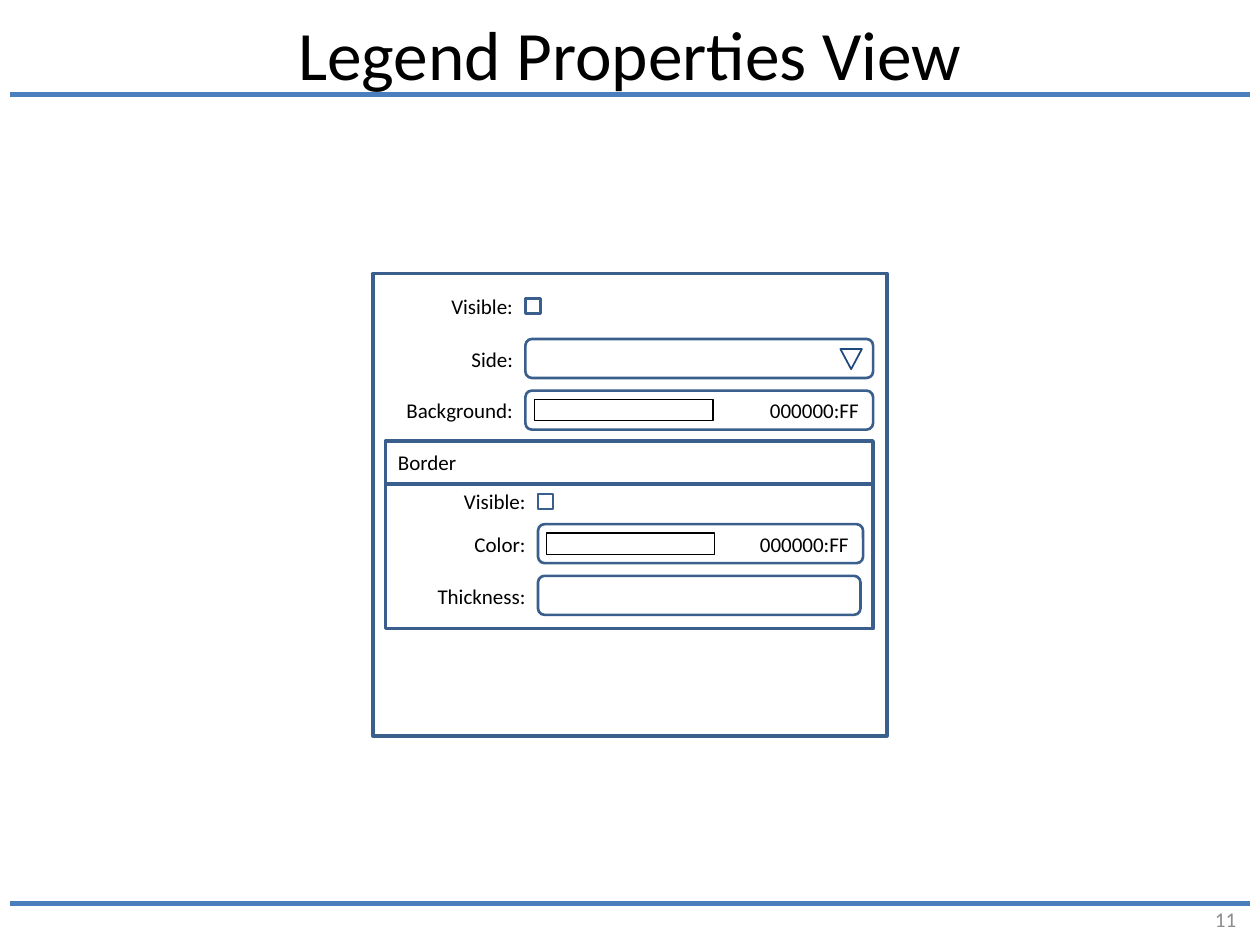
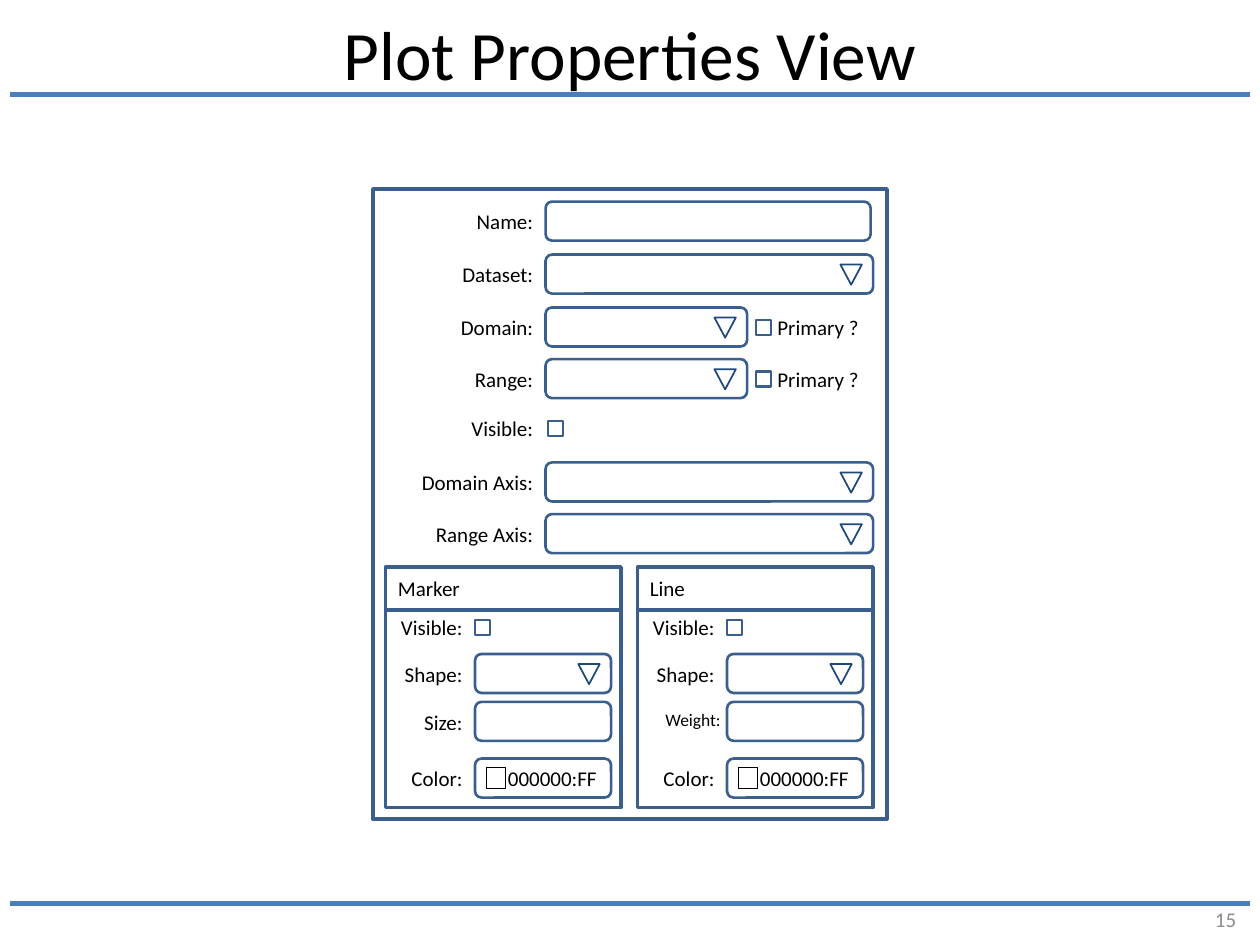
from collections import namedtuple

from lxml import etree
from pptx import Presentation
from pptx.dml.color import RGBColor
from pptx.enum.shapes import MSO_CONNECTOR, MSO_SHAPE
from pptx.enum.text import MSO_ANCHOR, MSO_AUTO_SIZE, PP_ALIGN
from pptx.oxml.ns import qn
from pptx.util import Inches, Pt

RECTANGLE = MSO_SHAPE.RECTANGLE
ROUNDED = MSO_SHAPE.ROUNDED_RECTANGLE
TRIANGLE = MSO_SHAPE.ISOSCELES_TRIANGLE
STRAIGHT = MSO_CONNECTOR.STRAIGHT
LEFT, CENTER, RIGHT = PP_ALIGN.LEFT, PP_ALIGN.CENTER, PP_ALIGN.RIGHT
TOP, MIDDLE = MSO_ANCHOR.TOP, MSO_ANCHOR.MIDDLE
NO_AUTOFIT = MSO_AUTO_SIZE.NONE

COLORS = {
    "rule": "4B7EBC",
    "outline": "3A5F8C",
    "arrow": "1F497D",
    "paper": "FFFFFF",
    "ink": "000000",
    "number": "8C8C8C",
}
FONT = "Calibri"
FIELD_HEIGHT = 0.31
HEADER_HEIGHT = 0.34
MARGIN = 0.1
GROUP_MARGIN = 0.08

Box = namedtuple("Box", "left top width height")


def color(name):
    return RGBColor.from_string(COLORS[name])


def inches(box):
    return [Inches(round(value, 2)) for value in box]


def write_text(shape, text, size=12, align=LEFT, anchor=MIDDLE, fill="ink", inset=0.1):
    frame = shape.text_frame
    frame.auto_size = NO_AUTOFIT
    frame.word_wrap = True
    frame.vertical_anchor = anchor
    frame.margin_left = frame.margin_right = Inches(inset)
    frame.margin_top = frame.margin_bottom = Inches(0.05)
    paragraph = frame.paragraphs[0]
    paragraph.alignment = align
    run = paragraph.add_run()
    run.text = text
    run.font.name = FONT
    run.font.size = Pt(size)
    run.font.color.rgb = color(fill)


def add_text(shapes, box, text, **text_format):
    write_text(shapes.add_textbox(*inches(box)), text, **text_format)


def add_outline(shapes, kind, box, line="outline", weight=1.5):
    shape = shapes.add_shape(kind, *inches(box))
    shape.shadow.inherit = False
    shape.fill.solid()
    shape.fill.fore_color.rgb = color("paper")
    shape.line.color.rgb = color(line)
    shape.line.width = Pt(weight)
    return shape


def add_rule(slide, top):
    ends = [Inches(value) for value in (0.08, top, 9.92, top)]
    rule = slide.shapes.add_connector(STRAIGHT, *ends)
    rule.line.color.rgb = color("rule")
    rule.line.width = Pt(3)
    etree.SubElement(rule._element.spPr, qn("a:effectLst"))


def add_checkbox(shapes, left, top):
    add_outline(shapes, RECTANGLE, Box(left, top, 0.12, 0.12))


def add_dropdown(shapes, box):
    add_outline(shapes, ROUNDED, box)
    arrow_box = Box(box.left + box.width - 0.26, box.top + 0.08, 0.17, 0.16)
    add_outline(shapes, TRIANGLE, arrow_box, "arrow", 1).rotation = 180


def add_color_field(shapes, box, swatch_width):
    field = add_outline(shapes, ROUNDED, box)
    write_text(field, "000000:FF", align=RIGHT)
    gap = 0.07 if swatch_width > 1 else 0.09
    swatch_box = Box(box.left + gap, box.top + 0.07, swatch_width, 0.17)
    add_outline(shapes, RECTANGLE, swatch_box, "ink", 0.75)


def add_row(shapes, box, label_width, label, control,
            trim=0, shift=0, swatch=0, note=None, size=12, inset=0.1):
    label_box = Box(box.left, box.top + 0.01, label_width, 0.3)
    add_text(shapes, label_box, label, size=size, inset=inset, align=RIGHT, anchor=TOP)
    right = box.left + box.width
    field_left = box.left + label_width
    field = Box(field_left, box.top, box.width - label_width - trim, box.height)
    if control == "check":
        add_checkbox(shapes, field_left + shift, box.top + 0.1)
    elif control == "list":
        add_dropdown(shapes, field)
    elif control == "color":
        add_color_field(shapes, field, swatch)
    else:
        add_outline(shapes, ROUNDED, field)
    if note:
        add_checkbox(shapes, right - 0.93, box.top + 0.1)
        note_box = Box(right - 0.81, box.top + 0.01, 0.81, 0.3)
        add_text(shapes, note_box, note, inset=0.05, anchor=TOP)


def add_rows(shapes, box, label_width, rows):
    for offset, label, control, options in rows:
        row_box = Box(box.left, box.top + offset, box.width, FIELD_HEIGHT)
        add_row(shapes, row_box, label_width, label, control, **options)


def add_group(shapes, box, title, label_width, rows):
    body = Box(box.left, box.top + HEADER_HEIGHT, box.width, box.height - HEADER_HEIGHT)
    add_outline(shapes, RECTANGLE, body, weight=2)
    header = add_outline(shapes, RECTANGLE, box._replace(height=HEADER_HEIGHT), weight=2)
    write_text(header, title)
    add_rows(shapes, box._replace(width=box.width - GROUP_MARGIN), label_width, rows)


def add_panel(slide, box, label_width, rows):
    shapes = slide.shapes.add_group_shape().shapes
    add_outline(shapes, RECTANGLE, box, weight=2)
    inner = Box(box.left + MARGIN, box.top, box.width - 2 * MARGIN - 0.01, box.height)
    add_rows(shapes, inner, label_width, rows)
    return shapes, inner


def add_view_slide(presentation, title, number):
    slide = presentation.slides.add_slide(presentation.slide_layouts[5])
    for top in (0.75, 7.17):
        add_rule(slide, top)
    heading = slide.shapes.title
    heading.left, heading.top, heading.width, heading.height = inches(Box(0.5, 0.08, 9, 0.67))
    write_text(heading, title, size=39.6, align=CENTER)
    add_text(slide.shapes, Box(7.58, 7.17, 2.33, 0.25), number, align=RIGHT, fill="number")
    return slide


def build_legend_view(presentation):
    slide = add_view_slide(presentation, "Legend Properties View", "11")
    rows = [
        (0.1, "Visible:", "check", {}),
        (0.52, "Side:", "list", {}),
        (0.93, "Background:", "color", {"swatch": 1.42}),
    ]
    shapes, inner = add_panel(slide, Box(2.96, 2.17, 4.08, 3.67), 1.11, rows)
    border_rows = [
        (0.32, "Visible:", "check", {}),
        (0.66, "Color:", "color", {"swatch": 1.33}),
        (1.07, "Thickness:", "text", {"trim": 0.02}),
    ]
    border = inner._replace(top=inner.top + 1.33, height=1.49)
    add_group(shapes, border, "Border", 1.21, border_rows)


def build_plot_view(presentation):
    slide = add_view_slide(presentation, "Plot Properties View", "15")
    primary = {"trim": 1, "note": "Primary ?"}
    rows = [
        (0.1, "Name:", "text", {"trim": 0.02}),
        (0.52, "Dataset:", "list", {}),
        (0.94, "Domain:", "list", primary),
        (1.35, "Range:", "list", primary),
        (1.74, "Visible:", "check", {"shift": 0.02}),
        (2.17, "Domain Axis:", "list", {}),
        (2.58, "Range Axis:", "list", {}),
    ]
    shapes, inner = add_panel(slide, Box(2.96, 1.5, 4.08, 5), 1.27, rows)
    groups = [
        ("Marker", "Size:", {}),
        ("Line", "Weight:", {"size": 10, "inset": 0.05}),
    ]
    for index, (title, measure, measure_format) in enumerate(groups):
        group_rows = [
            (0.32, "Visible:", "check", {}),
            (0.69, "Shape:", "list", {}),
            (1.07, measure, "text", measure_format),
            (1.52, "Color:", "color", {"swatch": 0.15}),
        ]
        box = Box(inner.left + 2 * index, inner.top + 3, 1.87, 1.91)
        add_group(shapes, box, title, 0.71, group_rows)


def main():
    presentation = Presentation()
    presentation.slide_width = Inches(10)
    presentation.slide_height = Inches(7.5)
    build_legend_view(presentation)
    build_plot_view(presentation)
    presentation.save("out.pptx")


if __name__ == "__main__":
    main()
